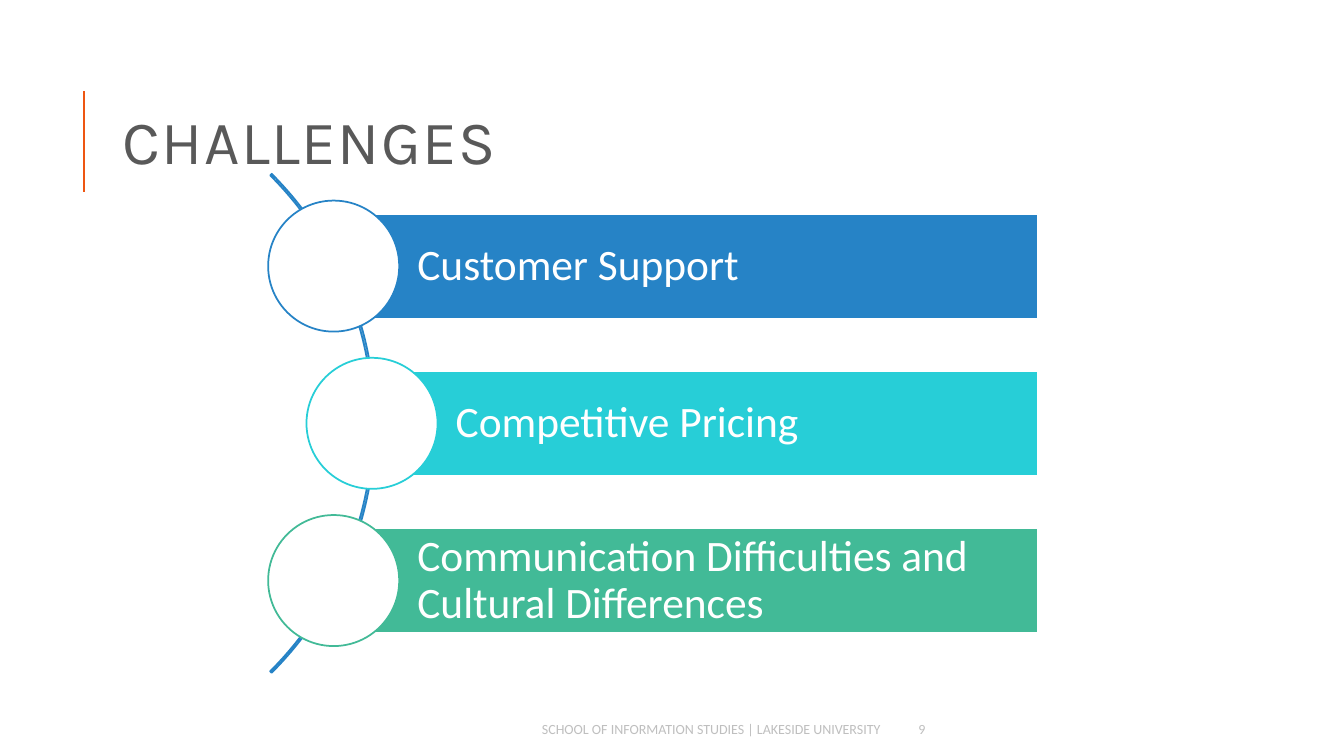
from pptx import Presentation
from pptx import util as u
from pptx.dml.color import RGBColor
from pptx.enum import shapes, text
from pptx.oxml import parse_xml
from pptx.oxml.ns import nsdecls

COLORS = {
    "accent": "EE5612",
    "title": "595959",
    "footer": "BFBFBF",
    "white": "FFFFFF",
    "blue": "2683C6",
    "cyan": "27CED7",
    "green": "42BA97",
}
CHALLENGES = [
    ("Customer Support", "blue", 0),
    ("Competitive Pricing", "cyan", 0.38),
    ("Communication Difficulties and Cultural Differences", "green", 0),
]


def rgb(name):
    """Return the named palette colour."""
    return RGBColor.from_string(COLORS[name])


def write(shape, words, size, color, font="Calibri", align=text.PP_ALIGN.LEFT, spacing=1.0):
    """Write one vertically centred paragraph into a shape and return its run."""
    frame = shape.text_frame
    frame.word_wrap = True
    frame.vertical_anchor = text.MSO_ANCHOR.MIDDLE
    para = frame.paragraphs[0]
    para.alignment = align
    para.line_spacing = spacing
    span = para.add_run()
    span.text = words
    span.font.size = u.Pt(size)
    span.font.name = font
    span.font.color.rgb = rgb(color)
    return span


def add_figure(page, kind, box, line, fill=None):
    """Add an outlined preset shape in a box given in inches."""
    figure = page.shapes.add_shape(kind, *map(u.Inches, box))
    figure.shadow.inherit = False
    if fill:
        figure.fill.solid()
        figure.fill.fore_color.rgb = rgb(fill)
    else:
        figure.fill.background()
    figure.line.color.rgb = rgb(line)
    figure.line.width = u.Pt(1.25)
    return figure


def add_heading(page, box):
    """Place the title with the accent rule at its left."""
    left, top, width, height = box
    rule_x, rule_top = u.Inches(left - 0.29), u.Inches(top + 0.26)
    rule = page.shapes.add_connector(
        shapes.MSO_CONNECTOR.STRAIGHT, rule_x, rule_top + u.Inches(1), rule_x, rule_top)
    rule.line.color.rgb = rgb("accent")
    rule.line.width = u.Pt(1.5)
    rule._element.spPr.append(parse_xml(f"<a:effectLst {nsdecls('a')}/>"))
    title = page.shapes.add_textbox(*map(u.Inches, (left, top, width, height)))
    span = write(title, "CHALLENGES", 44, "title", "Karla", spacing=0.8)
    span.font._element.set("spc", "100")


def add_challenges(page, box):
    """Place the arc and the bars with circles along it."""
    left, top, width, height = box
    circle, bar_height, arc_size = 1.3, 1.04, 7
    step = (height - circle) / (len(CHALLENGES) - 1)
    arc_top = top + (height - arc_size) / 2
    arc = add_figure(page, shapes.MSO_SHAPE.BLOCK_ARC,
                     (left - 5.94, arc_top, arc_size, arc_size), "blue")
    for index, value in enumerate((189, 27, 0.003)):
        arc.adjustments[index] = value
    for index, (words, color, indent) in enumerate(CHALLENGES):
        circle_left, circle_top = left + indent, top + index * step
        bar_left = circle_left + circle / 2
        bar_top = circle_top + (circle - bar_height) / 2
        bar = add_figure(page, shapes.MSO_SHAPE.RECTANGLE,
                         (bar_left, bar_top, left + width - bar_left, bar_height),
                         "white", color)
        frame = bar.text_frame
        frame.margin_left = u.Inches(0.83)
        frame.margin_top = frame.margin_right = frame.margin_bottom = u.Inches(0.09)
        write(bar, words, 31, "white", spacing=0.9)
        add_figure(page, shapes.MSO_SHAPE.OVAL,
                   (circle_left, circle_top, circle, circle), color, "white")


def add_footer(page, box):
    """Place the school name and the page number side by side."""
    left, top, width, height = box
    number_width = 1.36
    school_width = width - number_width - 0.18
    school = page.shapes.add_textbox(*map(u.Inches, (left, top, school_width, height)))
    write(school, "SCHOOL OF INFORMATION STUDIES | LAKESIDE UNIVERSITY", 10, "footer",
          align=text.PP_ALIGN.RIGHT)
    number_left = left + width - number_width
    number = page.shapes.add_textbox(*map(u.Inches, (number_left, top, number_width, height)))
    write(number, "9", 10, "footer")


def main():
    """Build the slide and save the deck."""
    deck = Presentation()
    deck.slide_width, deck.slide_height = u.Inches(13.33), u.Inches(7.5)
    page = deck.slides.add_slide(deck.slide_layouts[6])
    add_heading(page, (1.12, 0.64, 10.63, 1.64))
    add_footer(page, (3.9, 7.08, 6.47, 0.3))
    add_challenges(page, (2.66, 1.99, 7.63, 4.42))
    deck.save("out.pptx")


if __name__ == "__main__":
    main()
